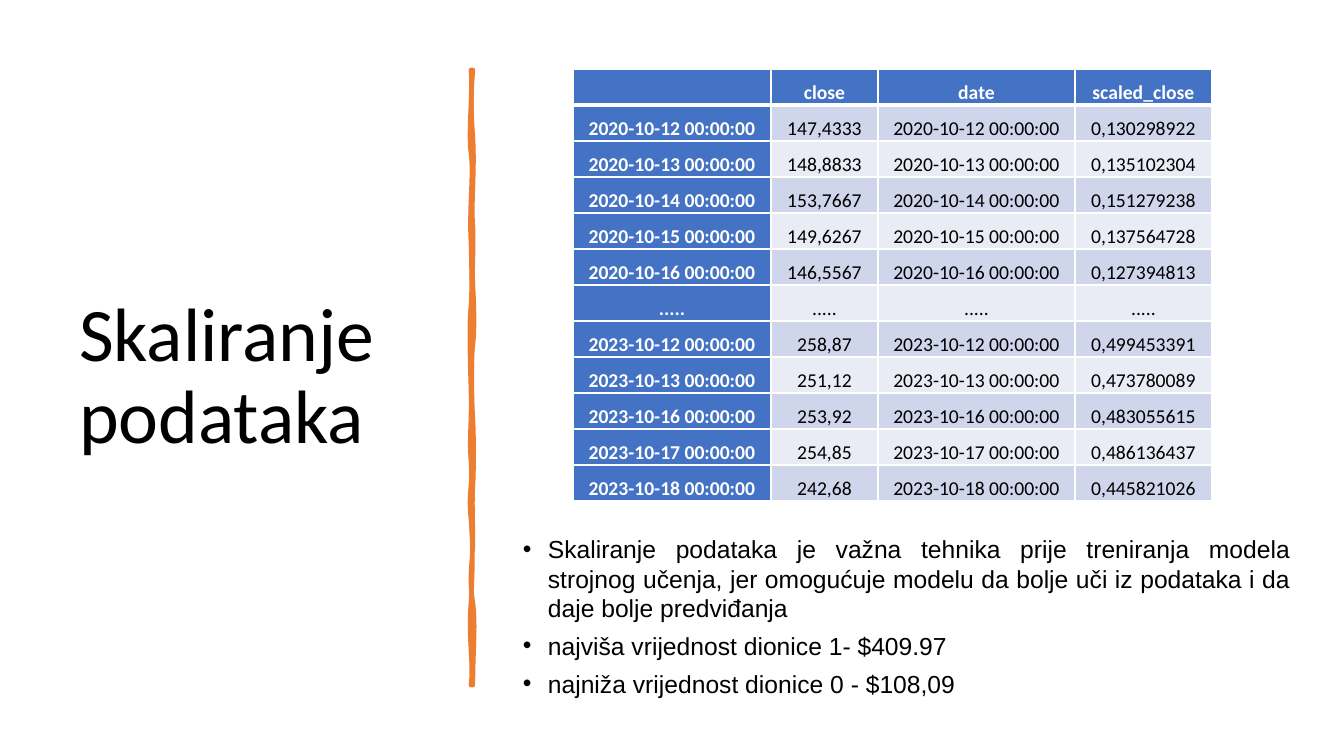
"""Build the slide on data scaling with a price table and notes."""
from dataclasses import dataclass

from lxml import etree
from pptx import Presentation
from pptx.dml.color import RGBColor
from pptx.enum.text import MSO_ANCHOR, MSO_AUTO_SIZE, PP_ALIGN
from pptx.oxml.ns import qn
from pptx.util import Pt

MIDDLE, TOP = MSO_ANCHOR.MIDDLE, MSO_ANCHOR.TOP
LEFT, CENTER, JUSTIFY = PP_ALIGN.LEFT, PP_ALIGN.CENTER, PP_ALIGN.JUSTIFY
NO_AUTOFIT = MSO_AUTO_SIZE.NONE
EMU_PER_PX = 12192000 / 1344
TITLE_ONLY = 5


@dataclass(frozen=True)
class Theme:
    """Colours, fonts and type sizes of the slide."""
    text: str = "000000"
    white: str = "FFFFFF"
    header: str = "4472C4"
    bands: tuple = ("CFD5EA", "E9EBF5")
    accent: str = "ED7D31"
    heading_font: str = "Calibri"
    body_font: str = "Arial"
    title_size: float = 54
    body_size: float = 17.6
    table_size: float = 14
    stroke: float = 3.25


def px(length):
    """Turn px into EMU."""
    return round(length * EMU_PER_PX)


def assign(target, values):
    """Set attributes from a dict of format values."""
    for name, value in values.items():
        setattr(target, name, value)


class SlideBuilder:
    """Hold the theme and the current slide and draw its elements."""

    def __init__(self, slide, theme):
        self.slide = slide
        self.theme = theme

    def style_text(self, paragraph, font, size, color, bold=False, **layout):
        """Format a paragraph and its runs."""
        assign(paragraph, layout)
        for run in paragraph.runs:
            assign(run.font, {"name": font, "size": Pt(size), "bold": bold})
            run.font.color.rgb = RGBColor.from_string(color)

    def title(self, text, left, top, width, height):
        """Place the title placeholder."""
        shape = self.slide.shapes.title
        assign(shape, {"left": px(left), "top": px(top), "width": px(width), "height": px(height)})
        frame = shape.text_frame
        assign(frame, {"text": text, "word_wrap": True, "auto_size": NO_AUTOFIT,
                       "vertical_anchor": MIDDLE})
        self.style_text(frame.paragraphs[0], self.theme.heading_font, self.theme.title_size,
                        self.theme.text, alignment=LEFT, line_spacing=0.9)

    def curve(self, outline, start, segments, size, origin, hidden):
        """Add a closed curved path, leaving out its fill or stroke."""
        contour = etree.SubElement(outline, qn("a:path"), {**size, **hidden})
        steps = [("moveTo", [start])]
        steps += [("cubicBezTo", zip(values[::2], values[1::2])) for values in segments]
        for tag, points in steps:
            step = etree.SubElement(contour, qn(f"a:{tag}"))
            for x, y in points:
                etree.SubElement(step, qn("a:pt"), x=str(px(x - origin[0])), y=str(px(y - origin[1])))
        etree.SubElement(contour, qn("a:close"))

    def divider(self, left, top, right, bottom, stroke, body):
        """Draw a hand-drawn divider from a stroked and a filled curve."""
        builder = self.slide.shapes.build_freeform(px(left), px(top))
        builder.add_line_segments([(px(right), px(bottom))], close=True)
        shape = builder.convert_to_shape()
        outline = shape._element.spPr.find(qn("a:custGeom")).find(qn("a:pathLst"))
        size = dict(outline[0].attrib)
        outline.remove(outline[0])
        for segments, hidden in ((stroke, {"fill": "none"}), (body, {"stroke": "0"})):
            self.curve(outline, (right, top), segments, size, (left, top), hidden)
        shape.shadow.inherit = False
        color = RGBColor.from_string(self.theme.accent)
        shape.fill.solid()
        shape.fill.fore_color.rgb = color
        shape.line.color.rgb = color
        shape.line.width = Pt(self.theme.stroke)
        line = shape._element.spPr.find(qn("a:ln"))
        etree.SubElement(line, qn("a:round"))

    def bullets(self, items, left, top, width, height):
        """Add a justified bullet list."""
        frame = self.slide.shapes.add_textbox(*map(px, (left, top, width, height))).text_frame
        assign(frame, {"word_wrap": True, "vertical_anchor": TOP})
        for index, item in enumerate(items):
            paragraph = frame.add_paragraph() if index else frame.paragraphs[0]
            paragraph.text = item
            self.style_text(paragraph, self.theme.body_font, self.theme.body_size, self.theme.text,
                            alignment=JUSTIFY, line_spacing=0.8 if index else 1.0,
                            space_before=Pt(10))
            properties = paragraph._p.get_or_add_pPr()
            properties.set("marL", str(px(25)))
            properties.set("indent", str(-px(25)))
            etree.SubElement(properties, qn("a:buFont"), typeface=self.theme.body_font)
            etree.SubElement(properties, qn("a:buChar"), char="•")

    def borders(self, cell, widths):
        """Give a cell solid white borders."""
        properties = cell._tc.get_or_add_tcPr()
        for index, (side, width) in enumerate(widths.items()):
            line = etree.Element(qn(f"a:ln{side}"), w=str(Pt(width)))
            fill = etree.SubElement(line, qn("a:solidFill"))
            etree.SubElement(fill, qn("a:srgbClr"), val=self.theme.white)
            properties.insert(index, line)

    def table(self, rows, left, top, column_widths, row_height):
        """Add a banded table with a header row and column."""
        table = self.slide.shapes.add_table(
            len(rows), len(column_widths), px(left), px(top),
            px(sum(column_widths)), px(row_height * len(rows))).table
        table.first_col = True
        for column, width in zip(table.columns, column_widths):
            column.width = px(width)
        for row_index, values in enumerate(rows):
            table.rows[row_index].height = px(row_height)
            for column_index, value in enumerate(values):
                cell = table.cell(row_index, column_index)
                heading = row_index == 0 or column_index == 0
                fill = self.theme.header if heading else self.theme.bands[(row_index - 1) % 2]
                assign(cell, {"text": value, "vertical_anchor": MIDDLE, "margin_left": px(9),
                              "margin_right": px(9), "margin_top": 0, "margin_bottom": 0})
                cell.fill.solid()
                cell.fill.fore_color.rgb = RGBColor.from_string(fill)
                if row_index == 0:
                    self.borders(cell, {"L": 1, "R": 1, "T": 1, "B": 3})
                if value:
                    self.style_text(cell.text_frame.paragraphs[0], self.theme.heading_font,
                                    self.theme.table_size,
                                    self.theme.white if heading else self.theme.text,
                                    bold=heading, alignment=CENTER, line_spacing=1.5)


DAYS = [
    ("2020-10-12", "147,4333", "0,130298922"), ("2020-10-13", "148,8833", "0,135102304"),
    ("2020-10-14", "153,7667", "0,151279238"), ("2020-10-15", "149,6267", "0,137564728"),
    ("2020-10-16", "146,5567", "0,127394813"), None,
    ("2023-10-12", "258,87", "0,499453391"), ("2023-10-13", "251,12", "0,473780089"),
    ("2023-10-16", "253,92", "0,483055615"), ("2023-10-17", "254,85", "0,486136437"),
    ("2023-10-18", "242,68", "0,445821026"),
]
NOTES = [
    "Skaliranje podataka je važna tehnika prije treniranja modela strojnog učenja, "
    "jer omogućuje modelu da bolje uči iz podataka i da daje bolje predviđanja",
    "najviša vrijednost dionice 1- $409.97",
    "najniža vrijednost dionice 0 - $108,09",
]
TOP_CAP = (472, 70, 471, 70, 471, 70)
BOTTOM_CAP = (471, 685, 472, 685, 473, 685)
STROKE = [
    TOP_CAP, (473, 95, 468, 131, 471, 153), (474, 174, 469, 207, 471, 242),
    (472, 278, 472, 290, 471, 306), (469, 324, 470, 356, 471, 390),
    (472, 424, 469, 436, 471, 461), (473, 486, 468, 493, 471, 519),
    (473, 545, 473, 566, 471, 603), (468, 638, 474, 665, 471, 685),
    BOTTOM_CAP, (473, 648, 476, 627, 473, 603), (469, 579, 472, 565, 473, 544),
    (473, 523, 472, 502, 473, 486), (474, 470, 474, 436, 473, 420),
    (472, 405, 471, 360, 473, 344), (475, 328, 474, 302, 473, 285),
    (472, 268, 474, 252, 473, 227), (471, 202, 475, 174, 473, 137),
    (470, 101, 472, 84, 473, 70),
]
BODY = [
    TOP_CAP, (468, 88, 472, 117, 471, 146), (469, 176, 471, 205, 471, 224),
    (471, 243, 468, 267, 471, 306), (473, 347, 468, 356, 471, 372),
    (473, 387, 470, 414, 471, 455), (472, 495, 467, 515, 471, 544),
    (475, 574, 467, 637, 471, 685), BOTTOM_CAP,
    (469, 650, 474, 634, 473, 603), (471, 572, 474, 549, 473, 525),
    (471, 501, 472, 486, 473, 461), (474, 436, 470, 406, 473, 384),
    (476, 362, 472, 341, 473, 320), (473, 298, 470, 289, 473, 261),
    (475, 232, 473, 221, 473, 190), (472, 159, 475, 125, 473, 70),
]


def main():
    """Build and save the presentation."""
    presentation = Presentation()
    assign(presentation, {"slide_width": px(1344), "slide_height": px(756)})
    slide = presentation.slides.add_slide(presentation.slide_layouts[TITLE_ONLY])
    builder = SlideBuilder(slide, Theme())
    builder.title("Skaliranje podataka", 69, 70, 377, 616)
    builder.divider(471, 70, 473, 685, STROKE, BODY)
    builder.bullets(NOTES, 513, 529, 788, 182)
    rows = [("", "close", "date", "scaled_close")]
    for entry in DAYS:
        if entry is None:
            rows.append((".....",) * 4)
        else:
            day, close, scaled = entry
            moment = f"{day} 00:00:00"
            rows.append((moment, close, moment, scaled))
    builder.table(rows, 573, 69, (198, 107, 197, 137), 36)
    presentation.save("out.pptx")


if __name__ == "__main__":
    main()
